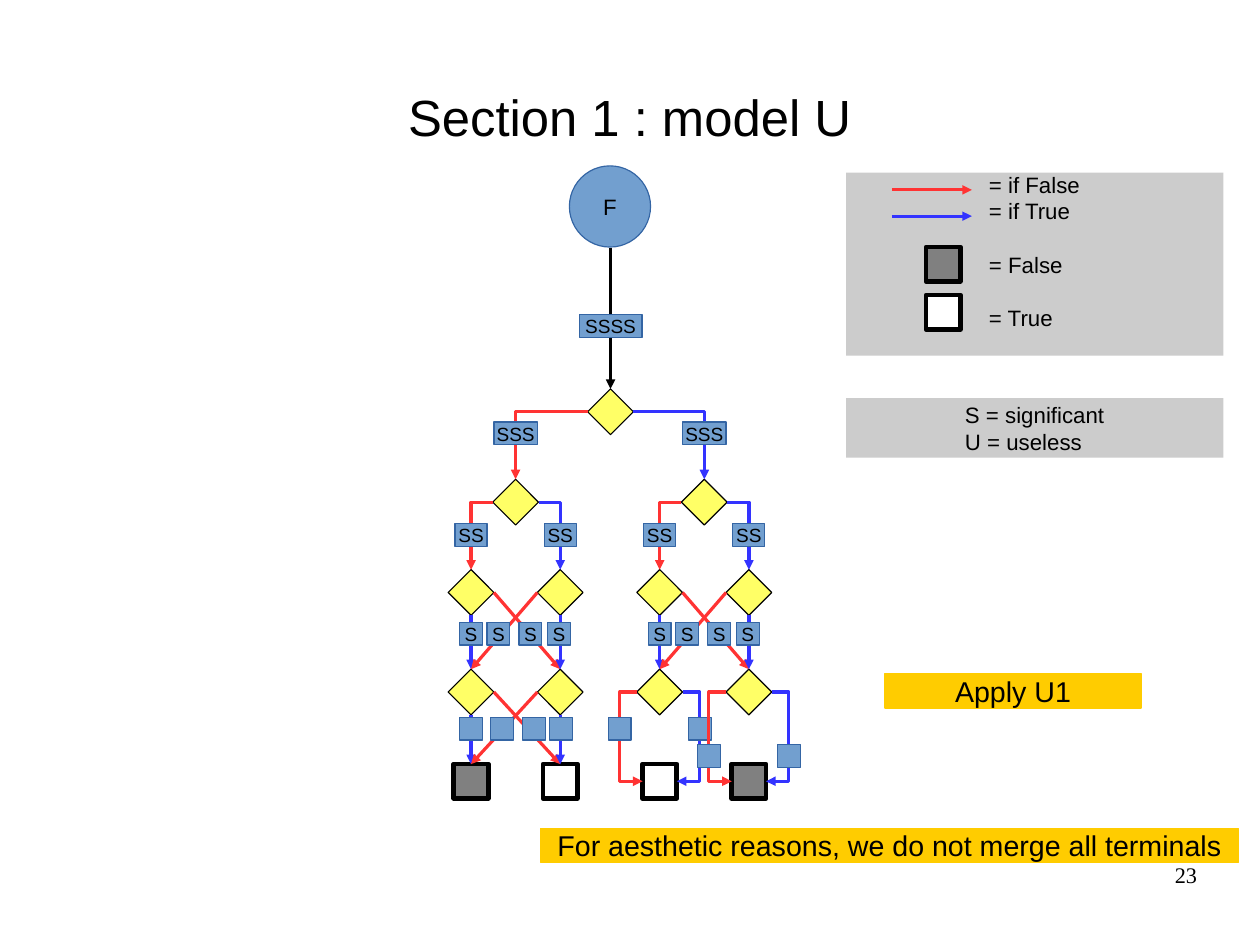
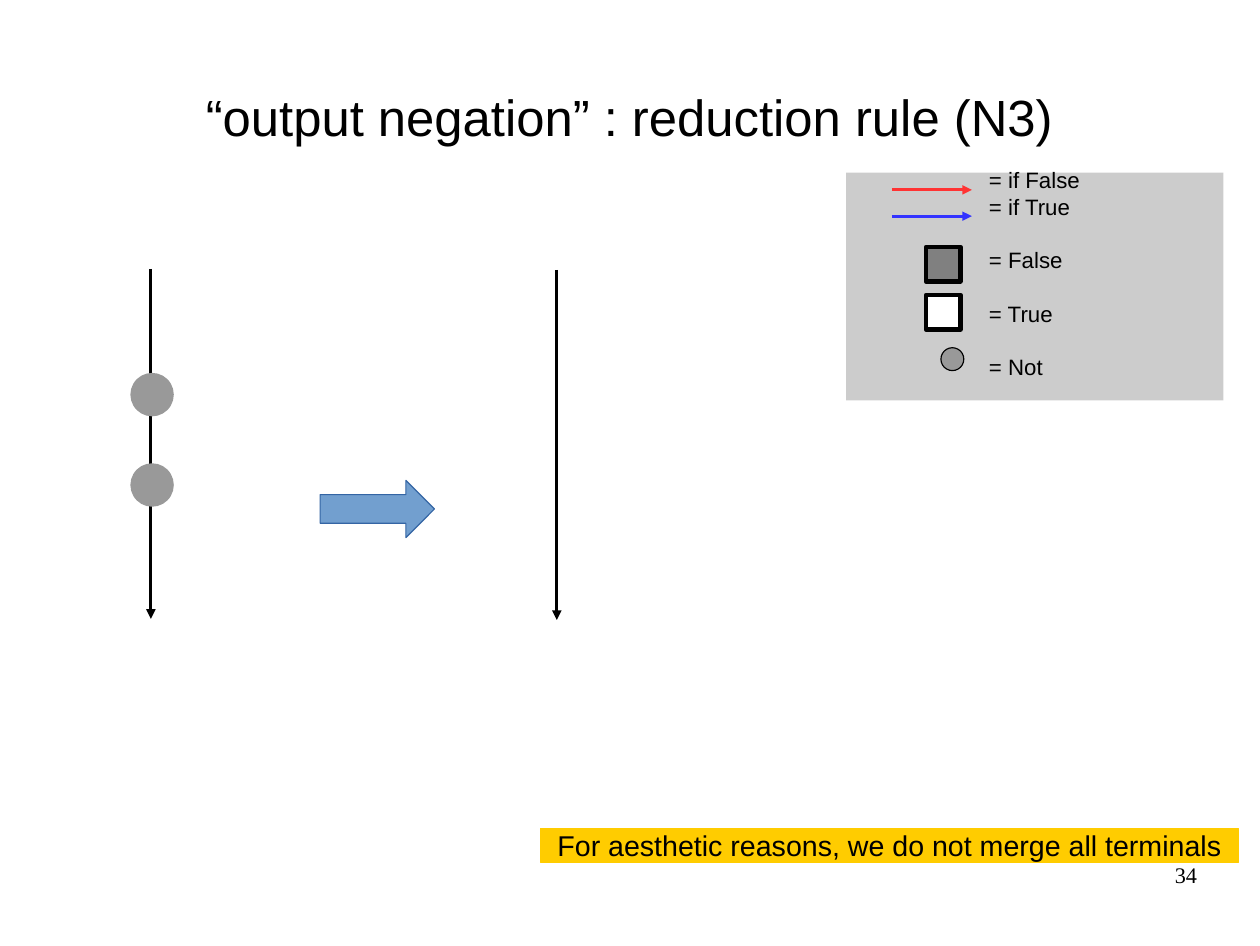
from lxml.etree import SubElement
from pptx import Presentation
from pptx.dml.color import RGBColor
from pptx.enum.shapes import MSO_CONNECTOR, MSO_SHAPE
from pptx.enum.text import MSO_ANCHOR, PP_ALIGN
from pptx.oxml.ns import qn
from pptx.util import Inches, Pt

BLACK, WHITE, GREY, NOT_GREY, PANEL = "000000", "FFFFFF", "808080", "999999", "CCCCCC"
BLUE, BLUE_EDGE, YELLOW, ORANGE = "729FCF", "3465A4", "FFFF66", "FFCC00"
IF_FALSE, IF_TRUE = "FF3333", "3333FF"
TOP, LEFT, BOTTOM, RIGHT = range(4)
NODE, LABEL, TERMINAL = 0.4, 0.2, 0.3
LINE_PITCH = 16.8


def rgb(value):
    return RGBColor.from_string(value)


def set_text(sp, lines, size, font="Arial", align=PP_ALIGN.CENTER,
             anchor=MSO_ANCHOR.MIDDLE, insets=(0, 0, 0, 0), wrap=True, pitch=None, gaps=()):
    tf = sp.text_frame
    left, top, right, bottom = [Inches(v) for v in insets]
    frame = {"word_wrap": wrap, "vertical_anchor": anchor, "margin_left": left,
             "margin_top": top, "margin_right": right, "margin_bottom": bottom}
    for name, value in frame.items():
        setattr(tf, name, value)
    for i, line in enumerate(lines):
        p = tf.paragraphs[0] if i == 0 else tf.add_paragraph()
        p.alignment = align
        if pitch:
            p.line_spacing = Pt(pitch)
        if i in gaps:
            p.space_before = Pt(pitch)
        r = p.add_run()
        r.text = line
        for name, value in {"size": Pt(size), "name": font}.items():
            setattr(r.font, name, value)
        r.font.color.rgb = rgb(BLACK)


def add_box(s, kind, x, y, w, h, fill, edge=None, weight=0):
    sp = s.shapes.add_shape(kind, Inches(x), Inches(y), Inches(w), Inches(h))
    sp.shadow.inherit = False
    sp.fill.solid()
    sp.fill.fore_color.rgb = rgb(fill)
    if edge:
        sp.line.color.rgb = rgb(edge)
        sp.line.width = Pt(weight)
    else:
        sp.line.fill.background()
    return sp


def add_text(s, x, y, w, h, line, size, **style):
    sp = s.shapes.add_textbox(Inches(x), Inches(y), Inches(w), Inches(h))
    set_text(sp, [line], size, **style)


def style_arrow(c, color):
    c.line.color.rgb = rgb(color)
    c.line.width = Pt(0)
    props = c.element.spPr
    SubElement(props.find(qn("a:ln")), qn("a:tailEnd"), type="triangle")
    SubElement(props, qn("a:effectLst"))


def add_arrow(s, x1, y1, x2, y2, color):
    c = s.shapes.add_connector(MSO_CONNECTOR.STRAIGHT, *[Inches(v) for v in (x1, y1, x2, y2)])
    style_arrow(c, color)


def link(s, start, start_site, end, end_site, color, bent=False, via=None):
    kind = MSO_CONNECTOR.ELBOW if bent else MSO_CONNECTOR.STRAIGHT
    c = s.shapes.add_connector(kind, 0, 0, 0, 0)
    c.begin_connect(start, start_site)
    c.end_connect(end, end_site)
    geom = c.element.spPr.find(qn("a:prstGeom"))
    if via is not None:
        adjust = round((Inches(via) - c.begin_x) / (c.end_x - c.begin_x) * 100000)
        guides = geom.find(qn("a:avLst"))
        if guides is None:
            guides = SubElement(geom, qn("a:avLst"))
        SubElement(guides, qn("a:gd"), name="adj1", fmla=f"val {adjust}")
    elif bent:
        geom.set("prst", "bentConnector2")
    style_arrow(c, color)


def add_node(s, cx, y):
    return add_box(s, MSO_SHAPE.DIAMOND, cx - NODE / 2, y, NODE, NODE, YELLOW, BLACK)


def add_terminal(s, cx, y, fill):
    return add_box(s, MSO_SHAPE.RECTANGLE, cx - TERMINAL / 2, y, TERMINAL, TERMINAL,
                   fill, BLACK, 3)


def add_label(s, cx, y, text="", w=LABEL):
    sp = add_box(s, MSO_SHAPE.RECTANGLE, cx - w / 2, y, w, LABEL, BLUE, BLUE_EDGE)
    if text:
        set_text(sp, [text], 12, wrap=False)


def add_banner(s, x, y, w, text):
    sp = add_box(s, MSO_SHAPE.RECTANGLE, x, y, w, 0.3, ORANGE, ORANGE)
    set_text(sp, [text], 18, wrap=False, insets=(0.1, 0.05, 0.1, 0.05))


def add_legend(s, x, y, h, with_not=False):
    labels = ["= if False", "= if True", "= False", "= True"] + ["= Not"] * with_not
    panel = add_box(s, MSO_SHAPE.RECTANGLE, x, y, 3.3, h, PANEL)
    set_text(panel, labels, 14, align=PP_ALIGN.LEFT, insets=(1.25, 0, 0, 0.23),
             pitch=LINE_PITCH, gaps=(2, 3, 4))
    for dy, color in ((0.15, IF_FALSE), (0.38, IF_TRUE)):
        add_arrow(s, x + 0.4, y + dy, x + 1.1, y + dy, color)
    for dy, fill in ((0.65, GREY), (1.07, WHITE)):
        add_terminal(s, x + 0.85, y + dy, fill)
    if with_not:
        add_box(s, MSO_SHAPE.OVAL, x + 0.83, y + 1.53, 0.2, 0.2, NOT_GREY, BLACK)


def add_key(s, x, y):
    panel = add_box(s, MSO_SHAPE.RECTANGLE, x, y, 3.3, 0.52, PANEL)
    set_text(panel, ["S = significant", "U = useless"], 14, align=PP_ALIGN.LEFT,
             insets=(1.04, 0.05, 0, 0.05), pitch=LINE_PITCH)


def add_half(s, root, mid, y, side, fills):
    color, site = ((IF_FALSE, LEFT), (IF_TRUE, RIGHT))[side]
    parent = add_node(s, mid, y + 0.79)
    link(s, root, site, parent, TOP, color, bent=True)
    add_label(s, mid, y + 0.29, "SSS", 0.38)

    columns = (mid - 0.39, mid + 0.39)
    upper = [add_node(s, cx, y + 1.58) for cx in columns]
    lower = [add_node(s, cx, y + 2.45) for cx in columns]
    ends = [add_terminal(s, cx, y + 3.28, fill) for cx, fill in zip(columns, fills)]

    link(s, parent, LEFT, upper[0], TOP, IF_FALSE, bent=True)
    link(s, parent, RIGHT, upper[1], TOP, IF_TRUE, bent=True)
    crossings = [(upper, lower)] + ([(lower, ends)] if side == 0 else [])
    for starts, targets in crossings:
        for i, inner in enumerate((RIGHT, LEFT)):
            link(s, starts[i], inner, targets[1 - i], TOP, IF_FALSE)
            link(s, starts[i], BOTTOM, targets[i], TOP, IF_TRUE)

    for cx in columns:
        add_label(s, cx, y + 1.18, "SS", 0.28)
    for dx in (-0.39, -0.15, 0.13, 0.38):
        add_label(s, mid + dx, y + 2.04, "S")
    if side == 0:
        for dx in (-0.39, -0.12, 0.16, 0.4):
            add_label(s, mid + dx, y + 2.87)
        return
    for cx, node, end, dy in zip(columns, lower, ends, (2.87, 3.11)):
        for turn, outer, shade in ((-0.35, LEFT, IF_FALSE), (0.35, RIGHT, IF_TRUE)):
            link(s, node, outer, end, outer, shade, bent=True, via=cx + turn)
            add_label(s, cx + turn, y + dy)


def add_tree(s, cx, y):
    start = add_box(s, MSO_SHAPE.OVAL, cx - 0.36, y, 0.71, 0.71, BLUE, BLUE_EDGE)
    set_text(start, ["F"], 14, wrap=False)
    add_arrow(s, cx, y + 0.72, cx, y + 1.95, BLACK)
    add_label(s, cx, y + 1.3, "SSSS", 0.55)
    root = add_node(s, cx, y + 1.95)
    for side, fills in enumerate(((GREY, WHITE), (WHITE, GREY))):
        add_half(s, root, cx + (-0.83, 0.82)[side], y + 1.95, side, fills)


def add_negation_rule(s, x, y):
    add_arrow(s, x + 0.18, y, x + 0.18, y + 3.06, BLACK)
    for dy in (0.91, 1.7):
        add_box(s, MSO_SHAPE.OVAL, x, y + dy, 0.38, 0.38, NOT_GREY)
    add_box(s, MSO_SHAPE.RIGHT_ARROW, x + 1.66, y + 1.85, 1, 0.5, BLUE, BLUE_EDGE)
    add_arrow(s, x + 3.73, y + 0.01, x + 3.73, y + 3.07, BLACK)


def add_slide(prs, title, number):
    s = prs.slides.add_slide(prs.slide_layouts[6])
    add_text(s, 0.55, 0.33, 9.92, 1.38, title, 32)
    add_banner(s, 4.73, 7.24, 6.1, "For aesthetic reasons, we do not merge all terminals")
    add_text(s, 7.9, 7.53, 2.57, 0.57, number, 14, font="Times New Roman",
             align=PP_ALIGN.RIGHT, anchor=MSO_ANCHOR.TOP)
    return s


def model_slide(prs):
    s = add_slide(prs, "Section 1 : model U", "23")
    add_tree(s, 5.34, 1.45)
    add_legend(s, 7.4, 1.51, 1.6)
    add_key(s, 7.4, 3.48)
    add_banner(s, 7.74, 5.89, 2.24, "Apply U1")


def rule_slide(prs):
    s = add_slide(prs, "“output negation” : reduction rule (N3)", "34")
    add_negation_rule(s, 1.14, 2.35)
    add_legend(s, 7.4, 1.51, 1.99, with_not=True)


def main():
    prs = Presentation()
    prs.slide_width, prs.slide_height = Inches(11.02), Inches(8.27)
    model_slide(prs)
    rule_slide(prs)
    prs.save("out.pptx")


if __name__ == "__main__":
    main()
